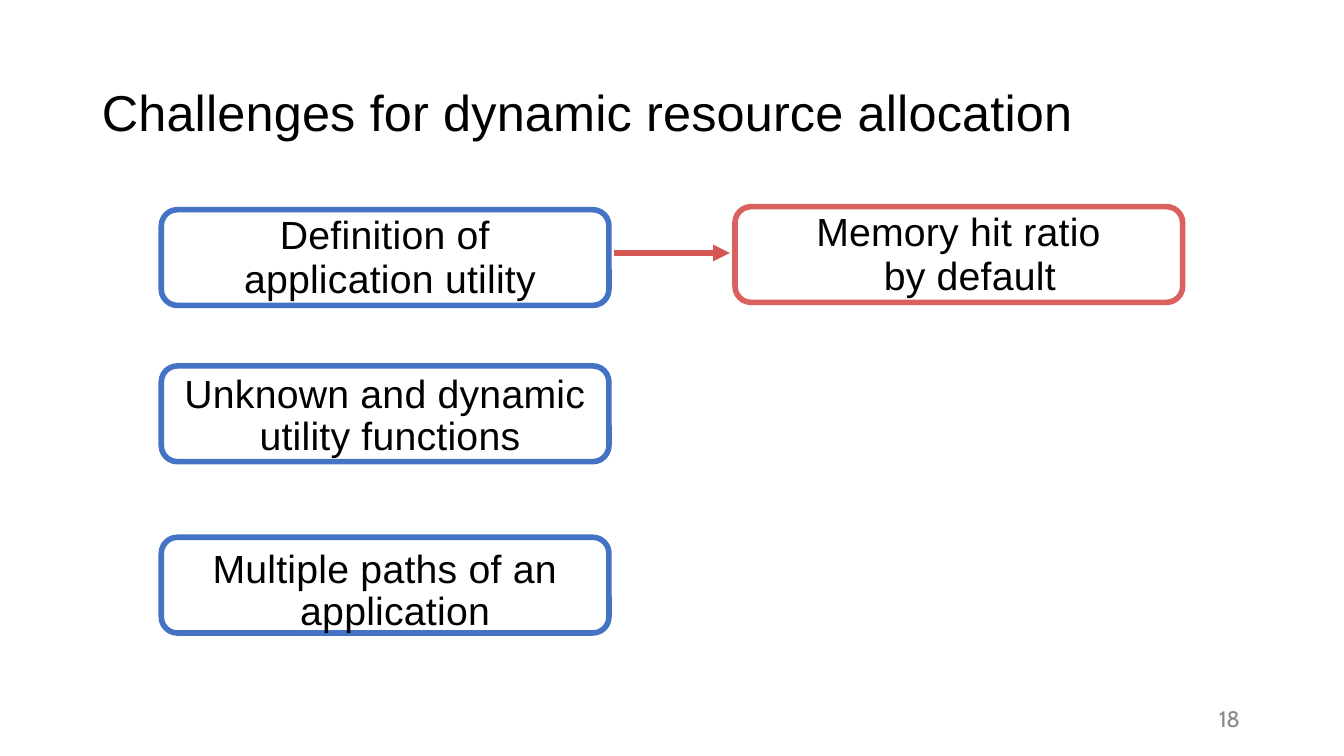
from pptx import Presentation
from pptx.dml.color import RGBColor
from pptx.enum.shapes import MSO_CONNECTOR as CONN, MSO_SHAPE as SHAPE
from pptx.enum.text import MSO_ANCHOR as ANCHOR, PP_ALIGN as ALIGN
from pptx.oxml.ns import qn
from pptx.util import Inches, Pt
from lxml import etree

BLACK = RGBColor(0x00, 0x00, 0x00)
BLUE = RGBColor(0x44, 0x72, 0xC4)
RED = RGBColor(0xDA, 0x61, 0x5F)
ARROW_RED = RGBColor(0xD4, 0x56, 0x55)
GREY = RGBColor(0x89, 0x89, 0x89)

# Grid in inches
LEFT_COL, RIGHT_COL = 1.6, 7.29
BOX_W, BOX_H = 4.44, 0.95
CORNER = 0.16
ARROW_GAP, ARROW_Y = 0.05, 2.51

prs = Presentation()
prs.slide_width, prs.slide_height = Inches(13.33), Inches(7.5)
s = prs.slides.add_slide(prs.slide_layouts[5])


def write(sp, text, size, color, font="Arial", align=ALIGN.LEFT,
          anchor=ANCHOR.TOP, top=0, spacing=20):
    tf = sp.text_frame
    frame = {"word_wrap": True, "vertical_anchor": anchor,
             "margin_left": 0, "margin_right": 0,
             "margin_top": Inches(top), "margin_bottom": 0}
    for name, value in frame.items():
        setattr(tf, name, value)
    p = tf.paragraphs[0]
    p.text = text
    p.alignment = align
    for r in p.runs:
        for name, value in {"size": Pt(size), "name": font}.items():
            setattr(r.font, name, value)
        r.font.color.rgb = color
        r.font._element.set("spc", str(spacing))
    return p


# Title
title = s.shapes.title
title.left, title.top = Inches(1.01), Inches(0.77)
title.width, title.height = Inches(9.65), Inches(0.63)
write(title, "Challenges for dynamic resource allocation", 36, BLACK,
      anchor=ANCHOR.BOTTOM, spacing=15)

# Boxes: left, top, line colour, text, line spacing, top inset, second-line shift
boxes = [
    (LEFT_COL, 2.08, BLUE, "Definition of\vapplication utility", 31, 0, 0.1),
    (LEFT_COL, 3.63, BLUE, "Unknown and dynamic\vutility functions", 30, 0.04, 0.1),
    (LEFT_COL, 5.33, BLUE, "Multiple paths of an\vapplication", 30, 0.07, 0.2),
    (RIGHT_COL, 2.05, RED, "Memory hit ratio\vby default", 31, 0, 0.22),
]
for left, top, color, text, leading, inset, shift in boxes:
    sp = s.shapes.add_shape(SHAPE.ROUNDED_RECTANGLE, Inches(left), Inches(top),
                            Inches(BOX_W), Inches(BOX_H))
    sp.adjustments[0] = CORNER / BOX_H
    sp.shadow.inherit = False
    sp.fill.background()
    sp.line.color.rgb = color
    sp.line.width = Pt(4)
    p = write(sp, text, 28, BLACK, align=ALIGN.CENTER, top=inset)
    p.line_spacing = Pt(leading)
    pPr = p._p.get_or_add_pPr()
    pPr.set("marL", str(Inches(shift)))
    pPr.set("indent", str(-Inches(shift)))

# Arrow from definition to default
arrow = s.shapes.add_connector(
    CONN.STRAIGHT, Inches(LEFT_COL + BOX_W + ARROW_GAP), Inches(ARROW_Y),
    Inches(RIGHT_COL - ARROW_GAP), Inches(ARROW_Y))
arrow.line.color.rgb = ARROW_RED
arrow.line.width = Pt(4)
etree.SubElement(arrow.line._get_or_add_ln(), qn("a:tailEnd"), type="triangle")
etree.SubElement(arrow._element.spPr, qn("a:effectLst"))

# Slide number
number = s.shapes.add_textbox(Inches(12.09), Inches(7), Inches(0.31), Inches(0.3))
write(number, "18", 16, GREY, font="Cabin", spacing=-30)

prs.save("out.pptx")
